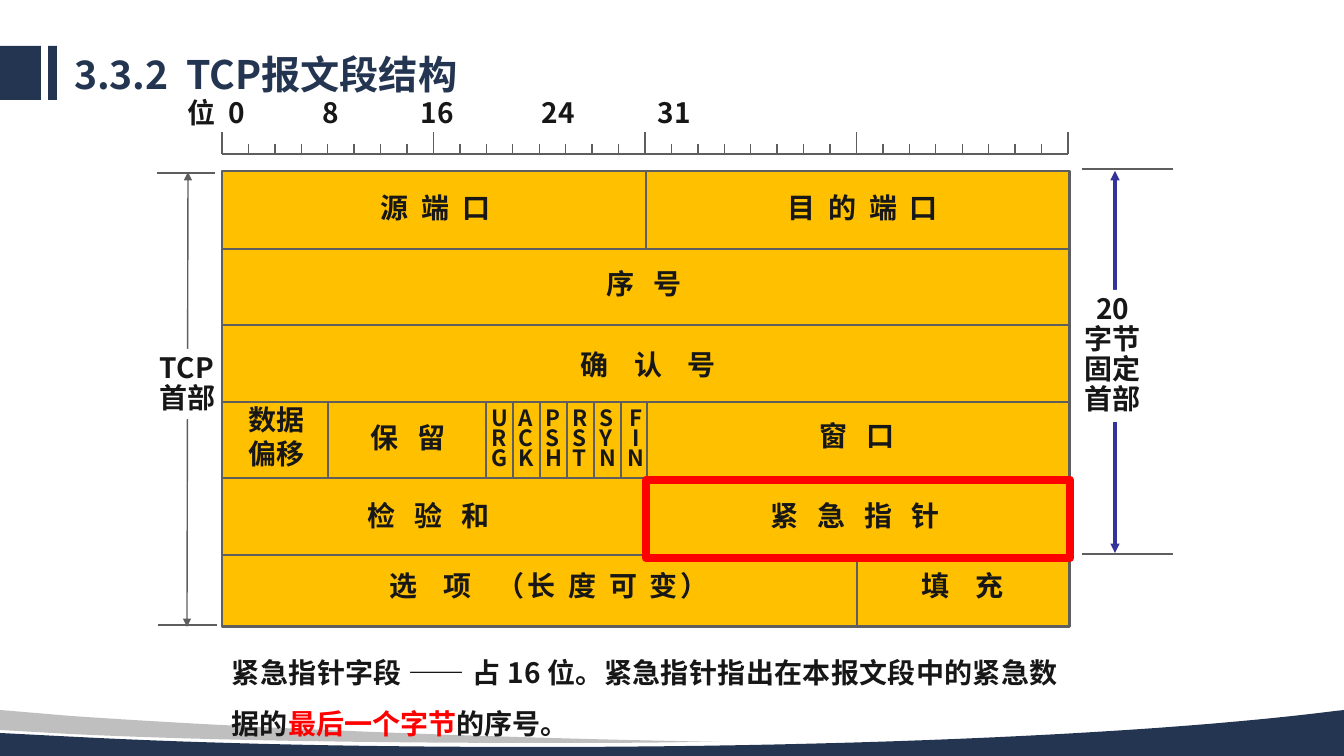
"""Build a slide that explains the urgent pointer field of the TCP header."""
from pptx import Presentation, util as u
from pptx.dml.color import RGBColor
from pptx.enum import shapes, text
from pptx.oxml.ns import qn
from lxml import etree

PX = 914400 / 100.8
FONT = "Noto Sans CJK JP"
TITLE_FONT = "Noto Sans CJK SC"
COLOURS = {"navy": "243551", "grey": "BFBFBF", "line": "5E5E5E", "arrow": "333399",
           "gold": "FFC000", "ink": "171717", "red": "FF0000", "white": "FFFFFF"}

TITLE = [("3.3.2", 0), (" ", 630), ("TCP报文段结构", 0)]
BARS = [(0, 46, 41, 54), (48, 46, 9, 54)]
WAVES = [
    ("navy", [(1344, 710), (1344, 756), (0, 756), (0, 733), (78, 737),
              (214, 744, 370, 747, 536, 747), (869, 747, 1162, 733, 1335, 711)]),
    ("grey", [(0, 710), (71, 716), (231, 727, 420, 735, 627, 740), (721, 742), (689, 742),
              (645, 743, 599, 743, 552, 743), (364, 743, 194, 740, 70, 734), (0, 730)]),
]

LEFT, TOP, RIGHT, BOTTOM = 222, 171, 1070, 627
ROW_TOPS = [249 + 306 * i // 4 for i in range(5)]
DIVIDERS = [(646, TOP, 250), (328, 402, 479), (647, 402, 555), (857, 557, BOTTOM)]
FLAGS = ["URG", "ACK", "PSH", "RST", "SYN", "FIN"]
FLAG_LEFT, FLAG_STEP = 486, 27
FIELDS = [
    (381, 186, 160, [("源 端 口", 2)]),
    (788, 186, 200, [("目 的 端 口", 2)]),
    (607, 262, 130, [("序 号", 3)]),
    (581, 343, 220, [("确 认 号", 4)]),
    (371, 416, 110, [("保 留", 3)]),
    (820, 414, 110, [("窗 口", 3)]),
    (368, 494, 180, [("检 验 和", 3)]),
    (771, 494, 240, [("紧 急 指 针", 3)]),
    (390, 564, 430, [("选 项 ", 4), ("（长 度 可 变）", 2)]),
    (922, 564, 130, [("填 充", 4)]),
]
BITS = "位\t0\t8\t16\t24\t31"
BIT_TABS = [41, 134, 233, 354, 470]
RULER_Y, RULER_RIGHT, BIT_COUNT = 154, 1068, 32
SPANS = [
    ((188, 172), (187, 627), "line", 1),
    ((1115, 171), (1115, 553), "arrow", 2.25),
]
LIMITS = [(157, 173, 215), (158, 625, 217), (1082, 169, 1173), (1082, 554, 1173)]
SIDE_LABELS = [
    ((160, 349, 60, 70), ["TCP", "首部"], text.PP_ALIGN.LEFT),
    ((1078, 290, 70, 132), ["20", "字节", "固定", "首部"], text.PP_ALIGN.CENTER),
]
NOTE = [("紧急指针字段 —— 占 16 位。紧急指针指出在本报文段中的紧急数据的", "ink"),
        ("最后一个字节", "red"), ("的序号。", "ink")]


def emu(*lengths):
    return [round(length * PX) for length in lengths]


def colour(name):
    return RGBColor.from_string(COLOURS[name])


def add_span(para, words, size=20, ink="ink", font=FONT, spacing=0):
    span = para.add_run()
    span.text = words
    span.font.size = u.Pt(size)
    span.font.bold = True
    span.font.color.rgb = colour(ink)
    span.font.name = font
    props = span.font._element
    etree.SubElement(props, qn("a:ea")).set("typeface", font)
    if spacing:
        props.set("spc", str(spacing))


def add_block(page, area, fill=None, line=None, width=1):
    block = page.shapes.add_shape(shapes.MSO_SHAPE.RECTANGLE, *emu(*area))
    paint(block, fill, line, width)
    return block


def paint(shape, fill, line=None, width=1):
    shape.shadow.inherit = False
    if fill:
        shape.fill.solid()
        shape.fill.fore_color.rgb = colour(fill)
    else:
        shape.fill.background()
    if line:
        shape.line.color.rgb = colour(line)
        shape.line.width = u.Pt(width)
    else:
        shape.line.fill.background()


def add_line(page, start, end, ink="line", width=1, arrows=False):
    line = page.shapes.add_connector(shapes.MSO_CONNECTOR.STRAIGHT, *emu(*start, *end))
    line.line.color.rgb = colour(ink)
    line.line.width = u.Pt(width)
    if arrows:
        for tip in ("a:headEnd", "a:tailEnd"):
            etree.SubElement(line.line._ln, qn(tip)).set("type", "triangle")
    etree.SubElement(line._element.spPr, qn("a:effectLst"))


def add_label(page, area, lines, size=20, spacing=None, align=text.PP_ALIGN.LEFT):
    box = page.shapes.add_textbox(*emu(*area))
    frame = box.text_frame
    frame.word_wrap = True
    frame.margin_left = frame.margin_right = 0
    frame.margin_top = frame.margin_bottom = emu(5)[0]
    for i, words in enumerate(lines):
        para = frame.add_paragraph() if i else frame.paragraphs[0]
        para.alignment = align
        if spacing:
            para.line_spacing = spacing
        add_span(para, words, size)
    return box


def add_wave(page, fill, steps):
    points = []
    for step in steps:
        if len(step) == 2:
            points.append(step)
            continue
        ends = [points[-1], step[:2], step[2:4], step[4:]]
        for k in range(1, 25):
            t = k / 24
            weights = ((1 - t) ** 3, 3 * t * (1 - t) ** 2, 3 * t * t * (1 - t), t ** 3)
            points.append(tuple(sum(w * p[axis] for w, p in zip(weights, ends))
                                for axis in (0, 1)))
    builder = page.shapes.build_freeform(*emu(*points[0]))
    builder.add_line_segments([emu(*point) for point in points[1:]], close=True)
    paint(builder.convert_to_shape(), fill)


def add_title(page):
    title = page.shapes.title
    title.left, title.top, title.width, title.height = emu(64, 51, 1006, 52)
    title.text_frame.vertical_anchor = text.MSO_ANCHOR.MIDDLE
    para = title.text_frame.paragraphs[0]
    para.alignment = text.PP_ALIGN.LEFT
    para.line_spacing = 0.9
    for words, spacing in TITLE:
        add_span(para, words, 28, "navy", TITLE_FONT, spacing)


def add_ruler(page):
    add_line(page, (LEFT, RULER_Y), (RULER_RIGHT, RULER_Y))
    for bit in range(BIT_COUNT + 1):
        x = LEFT + (RULER_RIGHT - LEFT) * bit / BIT_COUNT
        add_line(page, (x, 144 if bit % 8 else 132), (x, RULER_Y))
    box = add_label(page, (188, 91, 900, 43), [BITS])
    stops = etree.SubElement(box.text_frame.paragraphs[0]._p.get_or_add_pPr(), qn("a:tabLst"))
    for offset in BIT_TABS:
        stop = etree.SubElement(stops, qn("a:tab"))
        stop.set("pos", str(emu(offset)[0]))
        stop.set("algn", "l")


def add_header(page):
    add_block(page, (LEFT, TOP, RIGHT - LEFT, BOTTOM - TOP), "gold", "line", 2)
    for y in ROW_TOPS:
        add_line(page, (LEFT, y), (RIGHT, y))
    flag_dividers = [(FLAG_LEFT + FLAG_STEP * i, 402, 479) for i in range(len(FLAGS))]
    for x, top, bottom in DIVIDERS + flag_dividers:
        add_line(page, (x, top), (x, bottom))
    for left, top, width, parts in FIELDS:
        para = add_label(page, (left, top, width, 43), []).text_frame.paragraphs[0]
        for words, gap in parts:
            add_span(para, words, spacing=225 * (gap - 1))
    add_label(page, (249, 398, 70, 77), ["数据", "偏移"])
    for i, flag in enumerate(FLAGS):
        align = text.PP_ALIGN.CENTER if flag == "FIN" else text.PP_ALIGN.LEFT
        add_label(page, (FLAG_LEFT + 6 + FLAG_STEP * i, 405, 18, 70), flag, 16, 0.75, align)


def add_measures(page):
    for start, end, ink, width in SPANS:
        add_line(page, start, end, ink, width, True)
    for left, y, right in LIMITS:
        add_line(page, (left, y), (right, y))
    for area, lines, align in SIDE_LABELS:
        paint(add_label(page, area, lines, spacing=0.9, align=align), "white")


def main():
    deck = Presentation()
    deck.slide_width, deck.slide_height = emu(1344, 756)
    page = deck.slides.add_slide(deck.slide_layouts[5])
    for area in BARS:
        add_block(page, area, "navy")
    for fill, steps in WAVES:
        add_wave(page, fill, steps)
    add_title(page)
    add_measures(page)
    add_header(page)
    add_ruler(page)
    add_block(page, (646, 480, 424, 78), None, "red", 6)
    note = add_label(page, (232, 634, 826, 112), []).text_frame.paragraphs[0]
    note.alignment = text.PP_ALIGN.JUSTIFY
    note.line_spacing = 1.5
    for words, ink in NOTE:
        add_span(note, words, ink=ink)
    deck.save("out.pptx")


if __name__ == "__main__":
    main()
